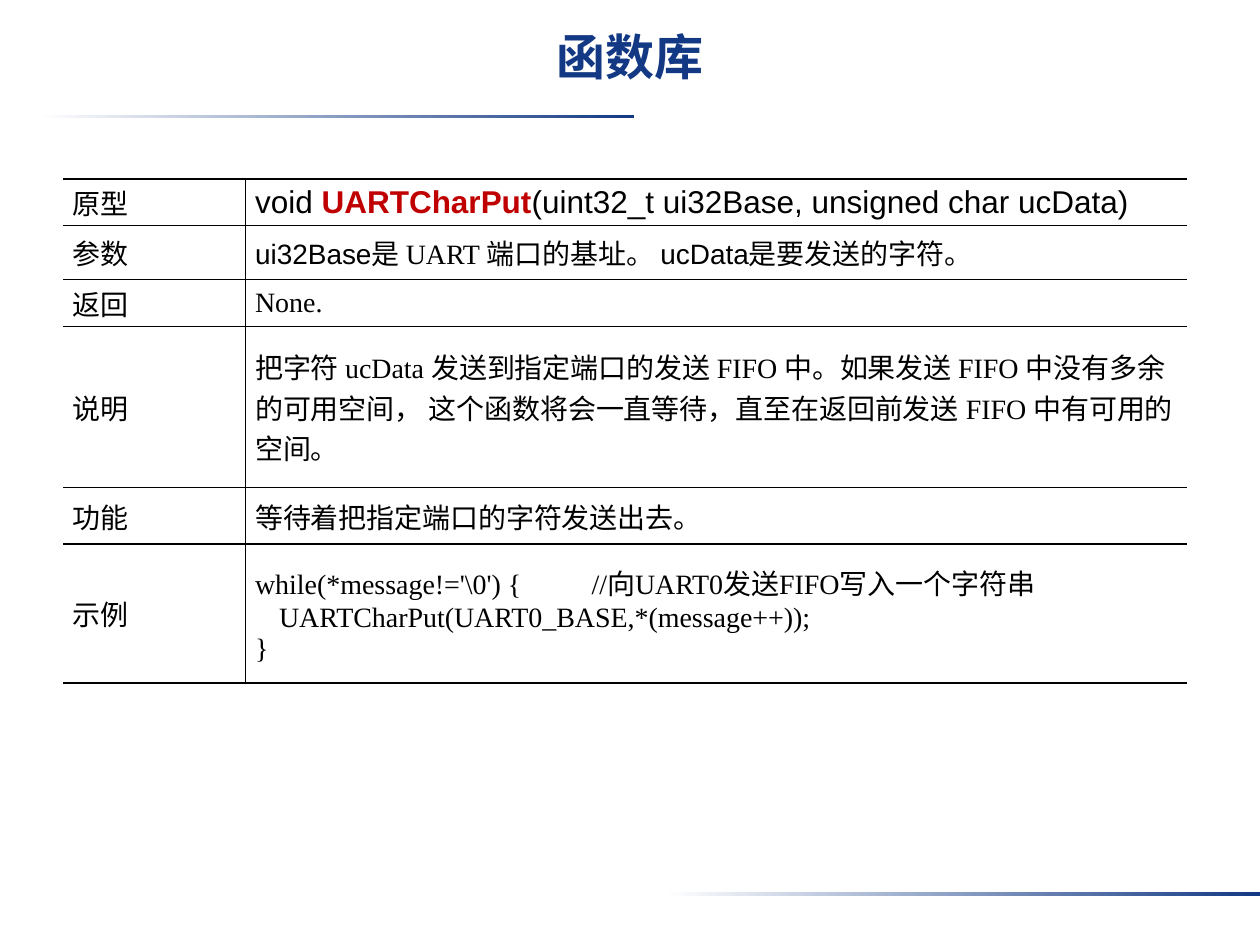
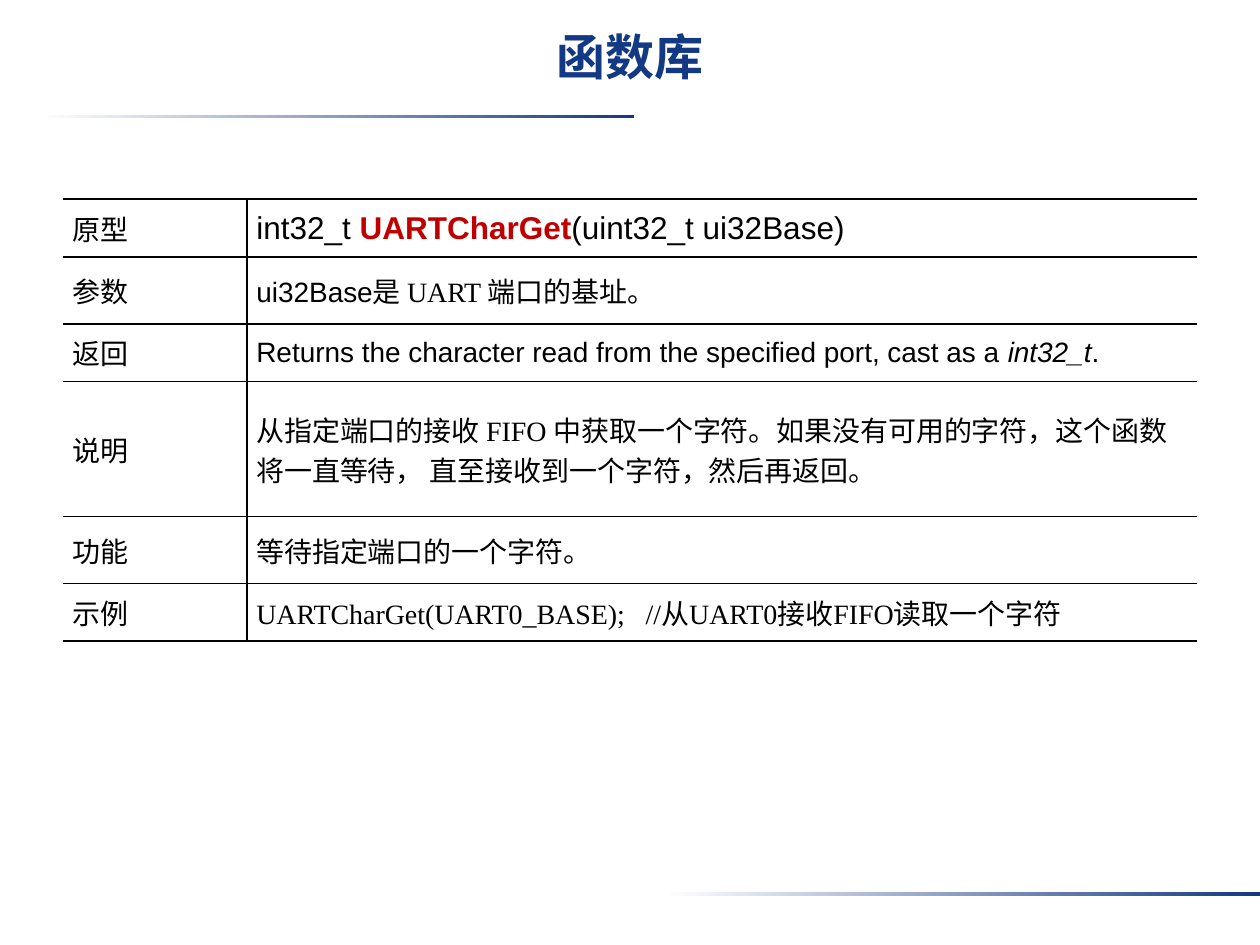
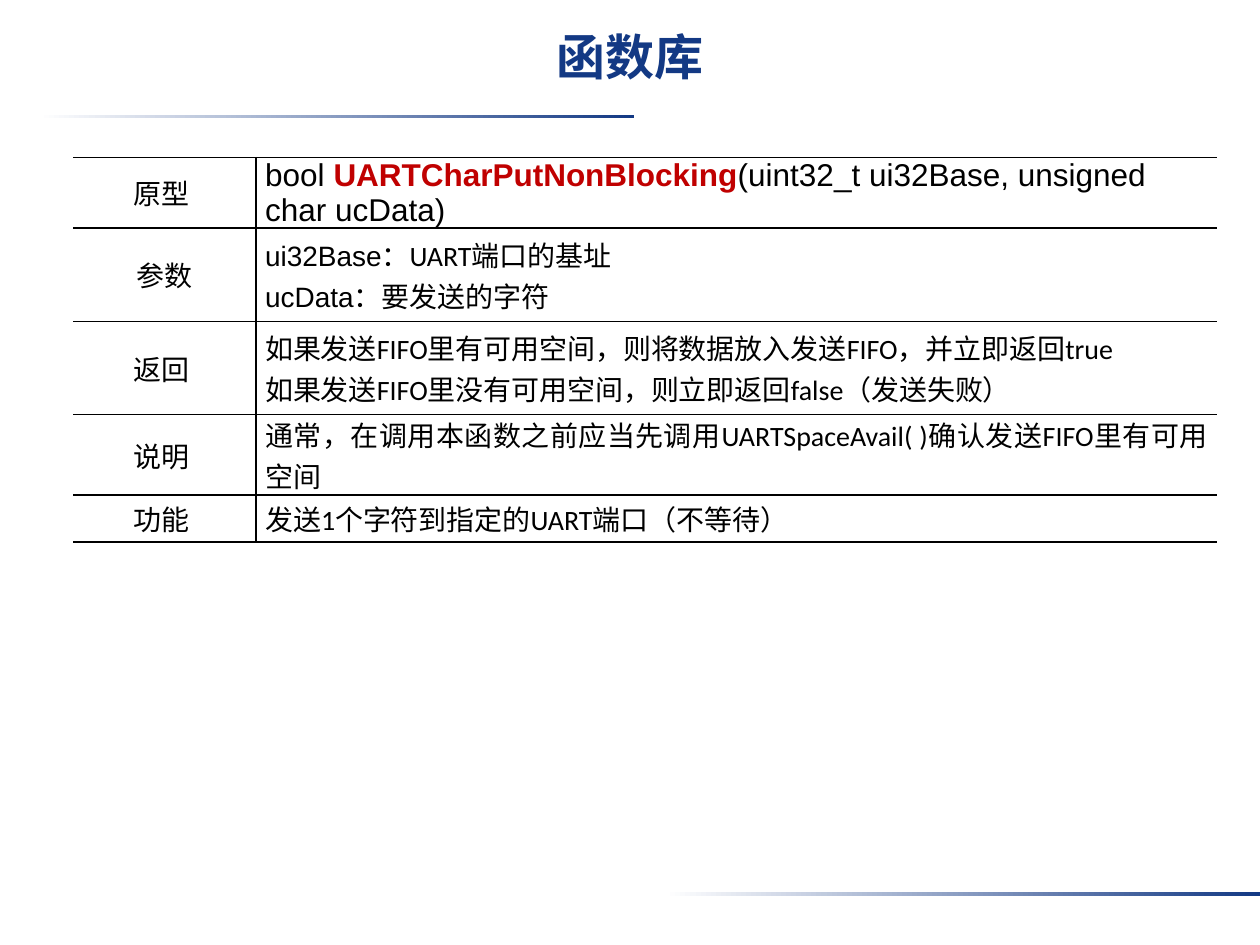
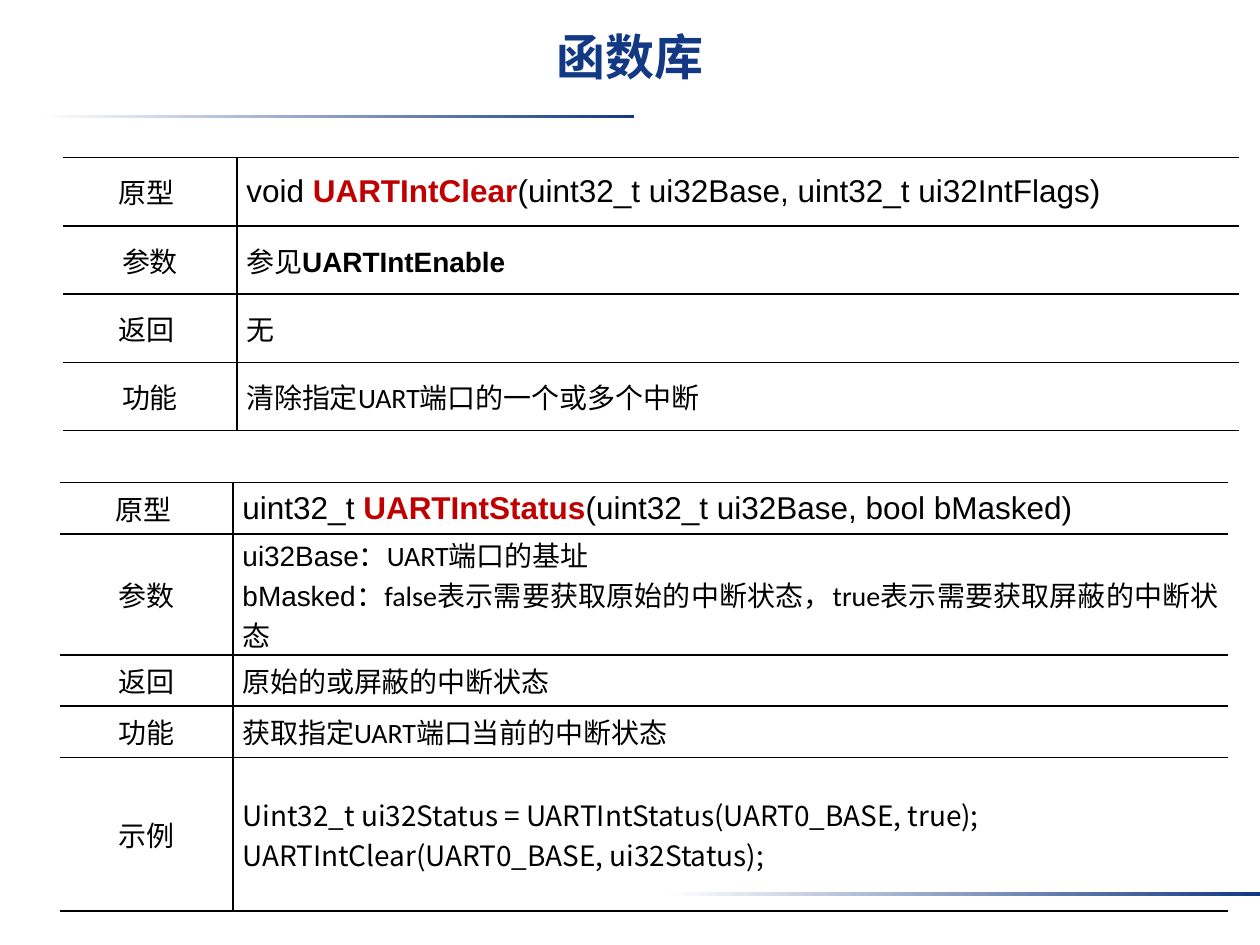
from dataclasses import dataclass
from typing import Optional

from lxml.etree import SubElement
from pptx import Presentation
from pptx.dml.color import RGBColor
from pptx.enum.shapes import MSO_SHAPE
from pptx.enum.text import MSO_ANCHOR, MSO_AUTO_SIZE, PP_ALIGN
from pptx.oxml.ns import qn
from pptx.util import Emu, Inches, Pt

WIDTH, HEIGHT = Inches(10), Inches(7.5)
GRID_COLUMNS, GRID_ROWS = 100, 75
COLORS = {"navy": "133984", "white": "FFFFFF", "black": "000000", "red": "C00000"}
SERIF, SANS, HUMANIST, CJK = "Times New Roman", "Arial", "Calibri", "Noto Sans CJK SC"
TITLE = "函数库"
BODY_SIZE, PROTOTYPE_SIZE, TITLE_SIZE = 16, 18, 28
PLAIN_TABLE_STYLE = "{2D5ABB26-0587-4C30-8999-92F81FD0307C}"


@dataclass
class Span:
    text: str
    font: Optional[str] = None
    size: int = BODY_SIZE
    color: str = "black"
    bold: bool = False
    italic: bool = False


@dataclass
class Line:
    spans: list[Span]
    align: Optional[PP_ALIGN] = None
    indent: float = 0
    tab: Optional[float] = None


@dataclass
class Entry:
    label: str
    height: float
    lines: list[Line]


@dataclass
class FunctionTable:
    left: float
    top: float
    widths: tuple[float, float]
    font: str
    label_align: PP_ALIGN
    body_align: PP_ALIGN
    entries: list[Entry]


@dataclass
class Bar:
    left: float
    top: float
    width: float = 47.2
    height: float = 0.3


BARS = [Bar(3.1, 9.1), Bar(52.8, 70.8)]


def column(count: float) -> Emu:
    return Emu(round(WIDTH * count / GRID_COLUMNS))


def row(count: float) -> Emu:
    return Emu(round(HEIGHT * count / GRID_ROWS))


def color(name: str) -> RGBColor:
    return RGBColor.from_string(COLORS[name])


def prototype(before: str, name: str, after: str) -> Line:
    """Signature line with the function name picked out in red."""
    return Line([
        Span(before, SANS, PROTOTYPE_SIZE),
        Span(name, SANS, PROTOTYPE_SIZE, "red", bold=True),
        Span(after, SANS, PROTOTYPE_SIZE),
    ], PP_ALIGN.LEFT)


def plain(text: str, font: Optional[str] = None, **layout) -> Line:
    return Line([Span(text, font)], **layout)


def described(*pairs: tuple[str, str]) -> Line:
    """Parameter names in Arial, each followed by its explanation."""
    return Line([span for name, meaning in pairs for span in (Span(name, SANS), Span(meaning))])


def add_text(paragraph, text: str, *, font: str, size: int, fill: str = "black",
             bold: bool = False, italic: bool = False) -> None:
    run = paragraph.add_run()
    run.text = text
    run.font.name, run.font.size = font, Pt(size)
    run.font.bold, run.font.italic = bold, italic
    run.font.color.rgb = color(fill)
    SubElement(run.font._element, qn("a:ea"), typeface=CJK)


def fill_cell(cell, lines: list[Line], font: str, align: PP_ALIGN) -> None:
    cell.vertical_anchor = MSO_ANCHOR.MIDDLE
    cell.margin_left = cell.margin_right = column(0.75)
    cell.margin_top = cell.margin_bottom = 0
    frame = cell.text_frame
    for index, line in enumerate(lines):
        paragraph = frame.paragraphs[0] if index == 0 else frame.add_paragraph()
        paragraph.alignment = line.align or align
        properties = paragraph._p.get_or_add_pPr()
        if line.indent:
            properties.set("indent", str(column(line.indent)))
        if line.tab:
            tabs = SubElement(properties, qn("a:tabLst"))
            SubElement(tabs, qn("a:tab"), pos=str(column(line.tab)), algn="l")
        for span in line.spans:
            add_text(paragraph, span.text, font=span.font or font, size=span.size,
                     fill=span.color, bold=span.bold, italic=span.italic)


def set_borders(cell, sides: str) -> None:
    """Draw thin black borders; sides come in schema order L, R, T, B."""
    properties = cell._tc.get_or_add_tcPr()
    for side in sides:
        border = SubElement(properties, qn(f"a:ln{side}"), w=str(Pt(1)))
        fill = SubElement(border, qn("a:solidFill"))
        SubElement(fill, qn("a:srgbClr"), val=COLORS["black"])
    cell.fill.background()


def add_function_table(slide, content: FunctionTable) -> None:
    frame = slide.shapes.add_table(
        len(content.entries), 2, column(content.left), row(content.top),
        column(sum(content.widths)), row(sum(entry.height for entry in content.entries)))
    table = frame.table
    table.first_row = table.horz_banding = False
    table._tbl.tblPr.find(qn("a:tableStyleId")).text = PLAIN_TABLE_STYLE
    for table_column, width in zip(table.columns, content.widths):
        table_column.width = column(width)
    for index, entry in enumerate(content.entries):
        table.rows[index].height = row(entry.height)
        label, body = table.cell(index, 0), table.cell(index, 1)
        fill_cell(label, [plain(entry.label)], content.font, content.label_align)
        fill_cell(body, entry.lines, content.font, content.body_align)
        set_borders(label, "RTB")
        set_borders(body, "LTB")


def set_title(slide) -> None:
    title = slide.shapes.title
    title.left, title.top, title.width, title.height = 0, row(2), WIDTH, row(7.5)
    frame = title.text_frame
    frame.auto_size = MSO_AUTO_SIZE.NONE
    frame.vertical_anchor = MSO_ANCHOR.TOP
    frame.margin_top, frame.margin_bottom = row(0.6), row(0.5)
    paragraph = frame.paragraphs[0]
    paragraph.alignment = PP_ALIGN.CENTER
    paragraph.line_spacing = 0.9
    add_text(paragraph, TITLE, font=SANS, size=TITLE_SIZE, fill="navy", bold=True)


def add_bars_to_layout(slide) -> None:
    """Draw the gradient bars, then hand them to the layout all slides share."""
    for bar in BARS:
        shape = slide.shapes.add_shape(MSO_SHAPE.RECTANGLE, column(bar.left), row(bar.top),
                                       column(bar.width), row(bar.height))
        shape.shadow.inherit = False
        shape.line.fill.background()
        shape.fill.gradient()
        shape.fill.gradient_angle = 0
        for stop, name, position in zip(shape.fill.gradient_stops, ("white", "navy"), (0, 1)):
            stop.color.rgb = color(name)
            stop.position = position
        slide.slide_layout.shapes.element.append(shape.element)


CHAR_PUT = FunctionTable(5, 14.2, (14.5, 74.7), SERIF, PP_ALIGN.JUSTIFY, PP_ALIGN.LEFT, [
    Entry("原型", 3.7, [prototype("void ", "UARTCharPut",
                                "(uint32_t ui32Base, unsigned char ucData) ")]),
    Entry("参数", 4.3, [described(("ui32Base", "是 UART 端口的基址。 "),
                                ("ucData", "是要发送的字符。"))]),
    Entry("返回", 3.7, [plain("None.")]),
    Entry("说明", 12.8, [plain(
        "把字符 ucData 发送到指定端口的发送 FIFO 中。如果发送 FIFO 中没有多余的可用空间， "
        "这个函数将会一直等待，直至在返回前发送 FIFO 中有可用的空间。")]),
    Entry("功能", 4.5, [plain("等待着把指定端口的字符发送出去。 ")]),
    Entry("示例", 11, [
        plain("while(*message!='\\0') {\t//向UART0发送FIFO写入一个字符串", tab=26.7),
        plain("UARTCharPut(UART0_BASE,*(message++));", indent=1.9),
        plain("}"),
    ]),
])

CHAR_GET = FunctionTable(5, 15.8, (14.6, 75.4), SERIF, PP_ALIGN.JUSTIFY, PP_ALIGN.LEFT, [
    Entry("原型", 4.6, [prototype("int32_t ", "UARTCharGet", "(uint32_t ui32Base) ")]),
    Entry("参数", 5.3, [described(("ui32Base", "是 UART 端口的基址。"))]),
    Entry("返回", 4.6, [Line([
        Span("Returns the character read from the specified port, cast as a ", SANS),
        Span("int32_t", SANS, italic=True),
        Span(". ", SANS),
    ])]),
    Entry("说明", 10.7, [plain(
        "从指定端口的接收 FIFO 中获取一个字符。如果没有可用的字符，这个函数将一直等待， "
        "直至接收到一个字符，然后再返回。")]),
    Entry("功能", 5.3, [plain("等待指定端口的一个字符。 ")]),
    Entry("示例", 4.6, [plain("UARTCharGet(UART0_BASE);\t//从UART0接收FIFO读取一个字符",
                            tab=30.9)]),
])

CHAR_PUT_NON_BLOCKING = FunctionTable(
    5.8, 12.5, (14.5, 76.3), HUMANIST, PP_ALIGN.CENTER, PP_ALIGN.JUSTIFY, [
        Entry("原型 ", 3.7, [prototype("bool ", "UARTCharPutNonBlocking",
                                     "(uint32_t ui32Base, unsigned char ucData) ")]),
        Entry("参数", 7.4, [described(("ui32Base", "：UART端口的基址")),
                          described(("ucData", "：要发送的字符"))]),
        Entry("返回 ", 7.4, [
            plain("如果发送FIFO里有可用空间，则将数据放入发送FIFO，并立即返回true "),
            plain("如果发送FIFO里没有可用空间，则立即返回false（发送失败） "),
        ]),
        Entry("说明 ", 3.7, [plain(
            "通常，在调用本函数之前应当先调用UARTSpaceAvail( )确认发送FIFO里有可用空间")]),
        Entry("功能 ", 3.7, [plain("发送1个字符到指定的UART端口（不等待） ")]),
    ])

INT_CLEAR = FunctionTable(5, 12.5, (13.8, 79.5), HUMANIST, PP_ALIGN.CENTER, PP_ALIGN.JUSTIFY, [
    Entry("原型 ", 5.42, [prototype("void ", "UARTIntClear",
                                  "(uint32_t ui32Base, uint32_t ui32IntFlags) ")]),
    Entry("参数", 5.42, [Line([Span("参见"), Span("UARTIntEnable", SANS, bold=True)])]),
    Entry("返回 ", 5.42, [plain("无 ")]),
    Entry("功能", 5.42, [plain("清除指定UART端口的一个或多个中断")]),
])

INT_STATUS = FunctionTable(4.8, 38.3, (13.7, 79), HUMANIST, PP_ALIGN.CENTER, PP_ALIGN.JUSTIFY, [
    Entry("原型 ", 4.07, [prototype("uint32_t ", "UARTIntStatus",
                                  "(uint32_t ui32Base, bool bMasked) ")]),
    Entry("参数", 8.1, [
        described(("ui32Base", "：UART端口的基址")),
        described(("bMasked",
                   "：false表示需要获取原始的中断状态，true表示需要获取屏蔽的中断状态 ")),
    ]),
    Entry("返回", 4.07, [plain("原始的或屏蔽的中断状态 ")]),
    Entry("功能", 4.07, [plain("获取指定UART端口当前的中断状态")]),
    Entry("示例", 12.2, [
        plain("Uint32_t ui32Status = UARTIntStatus(UART0_BASE, true);", CJK),
        plain("UARTIntClear(UART0_BASE, ui32Status); ", CJK),
    ]),
])

SLIDES = [[CHAR_PUT], [CHAR_GET], [CHAR_PUT_NON_BLOCKING], [INT_CLEAR, INT_STATUS]]


def main() -> None:
    presentation = Presentation()
    presentation.slide_width, presentation.slide_height = WIDTH, HEIGHT
    title_only = presentation.slide_layouts[5]
    for tables in SLIDES:
        slide = presentation.slides.add_slide(title_only)
        set_title(slide)
        for content in tables:
            add_function_table(slide, content)
    add_bars_to_layout(presentation.slides[0])
    presentation.save("out.pptx")


if __name__ == "__main__":
    main()
